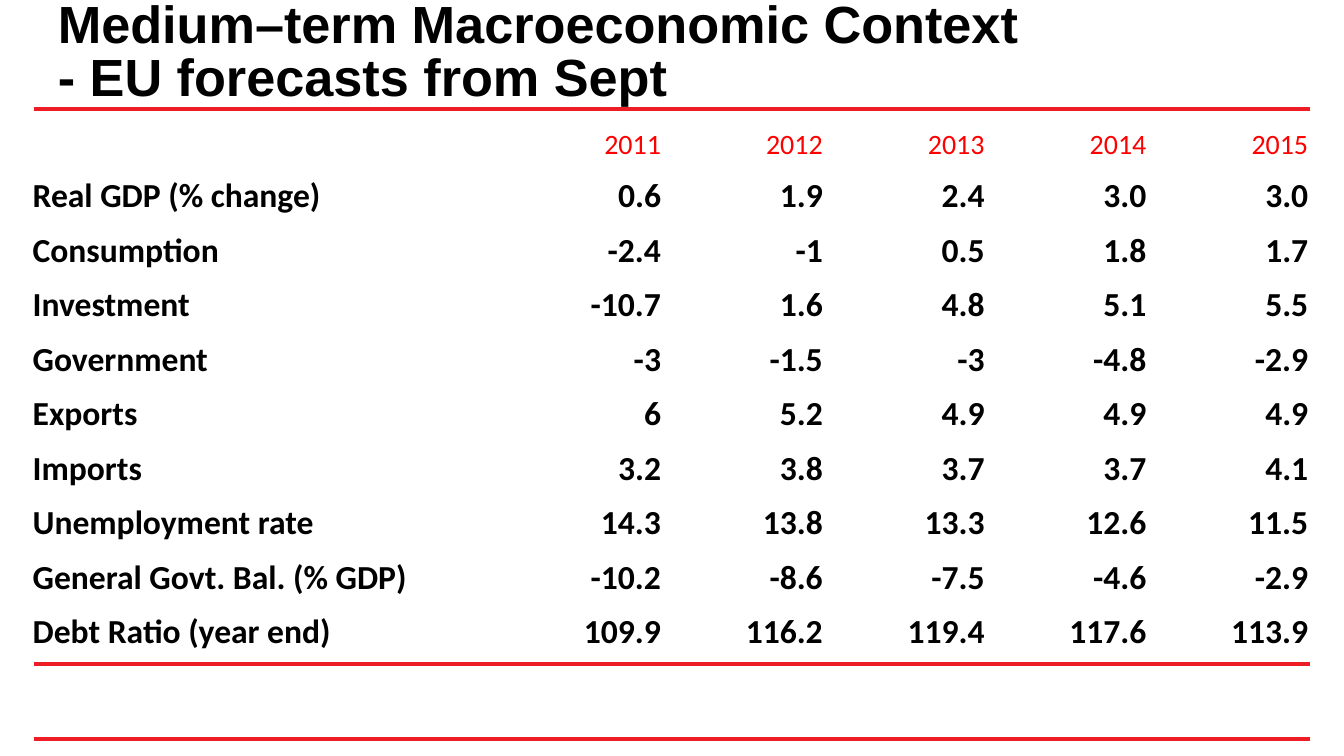
from dataclasses import dataclass

from pptx import Presentation
from pptx.dml.color import RGBColor
from pptx.enum.shapes import MSO_CONNECTOR
from pptx.enum.text import MSO_ANCHOR, MSO_AUTO_SIZE, PP_ALIGN
from pptx.oxml.ns import qn
from pptx.slide import Slide
from pptx.util import Pt
from lxml.etree import SubElement


@dataclass(frozen=True)
class Theme:
    rule: RGBColor = RGBColor(0xEE, 0x1C, 0x25)
    year: RGBColor = RGBColor(0xFF, 0x00, 0x00)
    ink: RGBColor = RGBColor(0x00, 0x00, 0x00)
    title_font: str = "Arial"
    table_font: str = "Calibri"
    title_size: Pt = Pt(28)
    year_size: Pt = Pt(15)
    body_size: Pt = Pt(18)
    rule_width: Pt = Pt(2)


@dataclass(frozen=True)
class Row:
    label: str
    values: str


THEME = Theme()
TITLE = "Medium–term Macroeconomic Context \v- EU forecasts from Sept"
RULE_TOPS = (58.3, 355.7, 396)
RULE_LEFT, RULE_RIGHT = 18, 702
TABLE_LEFT, TABLE_TOP = 16.8, 57.6
LABEL_WIDTH, YEAR_WIDTH = 251.3, 86.7
HEADER_HEIGHT, ROW_HEIGHT = 33, 27.4
NO_STYLE_NO_GRID = "{2D5ABB26-0587-4C30-8999-92F81FD0307C}"

ROWS = (
    Row("", "2011 2012 2013 2014 2015"),
    Row("Real GDP (% change)", "0.6 1.9 2.4 3.0 3.0"),
    Row("Consumption", "-2.4 -1 0.5 1.8 1.7"),
    Row("Investment", "-10.7 1.6 4.8 5.1 5.5"),
    Row("Government", "-3 -1.5 -3 -4.8 -2.9"),
    Row("Exports", "6 5.2 4.9 4.9 4.9"),
    Row("Imports", "3.2 3.8 3.7 3.7 4.1"),
    Row("Unemployment rate", "14.3 13.8 13.3 12.6 11.5"),
    Row("General Govt. Bal. (% GDP)", "-10.2 -8.6 -7.5 -4.6 -2.9"),
    Row("Debt Ratio (year end)", "109.9 116.2 119.4 117.6 113.9"),
)

TITLE_FORMAT = dict(name=THEME.title_font, size=THEME.title_size, bold=True)
YEAR_FORMAT = dict(name=THEME.table_font, size=THEME.year_size, bold=False)
BODY_FORMAT = dict(name=THEME.table_font, size=THEME.body_size, bold=True)
CELL_FORMAT = dict(margin_left=Pt(0.7), margin_right=Pt(0.7),
                   margin_top=Pt(3.6), margin_bottom=Pt(3.6),
                   vertical_anchor=MSO_ANCHOR.BOTTOM)


def set_all(target: object, values: dict) -> None:
    for name, value in values.items():
        setattr(target, name, value)


def format_runs(p, values: dict, color: RGBColor) -> None:
    for r in p.runs:
        set_all(r.font, values)
        r.font.color.rgb = color


def add_title(s: Slide) -> None:
    sp = s.shapes.title
    set_all(sp, dict(left=Pt(23.8), top=Pt(8.6), width=Pt(696.2), height=Pt(41)))
    tf = sp.text_frame
    tf.text = TITLE
    set_all(tf, dict(auto_size=MSO_AUTO_SIZE.NONE, word_wrap=True,
                     vertical_anchor=MSO_ANCHOR.MIDDLE))
    p = tf.paragraphs[0]
    set_all(p, dict(alignment=PP_ALIGN.LEFT, line_spacing=0.85))
    format_runs(p, TITLE_FORMAT, THEME.ink)


def add_rule(s: Slide, top: float) -> None:
    line = s.shapes.add_connector(MSO_CONNECTOR.STRAIGHT, Pt(RULE_LEFT), Pt(top),
                                  Pt(RULE_RIGHT), Pt(top))
    line.line.color.rgb = THEME.rule
    line.line.width = THEME.rule_width
    SubElement(line._element.spPr, qn("a:effectLst"))


def add_forecast_table(s: Slide, rows: tuple[Row, ...]) -> None:
    years = len(rows[0].values.split())
    frame = s.shapes.add_table(
        len(rows), years + 1, Pt(TABLE_LEFT), Pt(TABLE_TOP),
        Pt(LABEL_WIDTH + years * YEAR_WIDTH),
        Pt(HEADER_HEIGHT + (len(rows) - 1) * ROW_HEIGHT))
    table = frame.table
    set_all(table, dict(first_row=False, horz_banding=False))
    table._tbl.tblPr.find(qn("a:tableStyleId")).text = NO_STYLE_NO_GRID
    for i, column in enumerate(table.columns):
        column.width = Pt(YEAR_WIDTH if i else LABEL_WIDTH)
    for i, row in enumerate(rows):
        table.rows[i].height = Pt(ROW_HEIGHT if i else HEADER_HEIGHT)
        for j, text in enumerate([row.label, *row.values.split()]):
            cell = table.cell(i, j)
            set_all(cell, CELL_FORMAT)
            cell.fill.background()
            cell.text = text
            p = cell.text_frame.paragraphs[0]
            p.alignment = PP_ALIGN.RIGHT if j else PP_ALIGN.LEFT
            format_runs(p, BODY_FORMAT if i else YEAR_FORMAT,
                        THEME.ink if i else THEME.year)


def main() -> None:
    prs = Presentation()
    set_all(prs, dict(slide_width=Pt(720), slide_height=Pt(405)))
    s = prs.slides.add_slide(prs.slide_layouts[5])
    for top in RULE_TOPS:
        add_rule(s, top)
    add_title(s)
    add_forecast_table(s, ROWS)
    prs.save("out.pptx")


if __name__ == "__main__":
    main()
